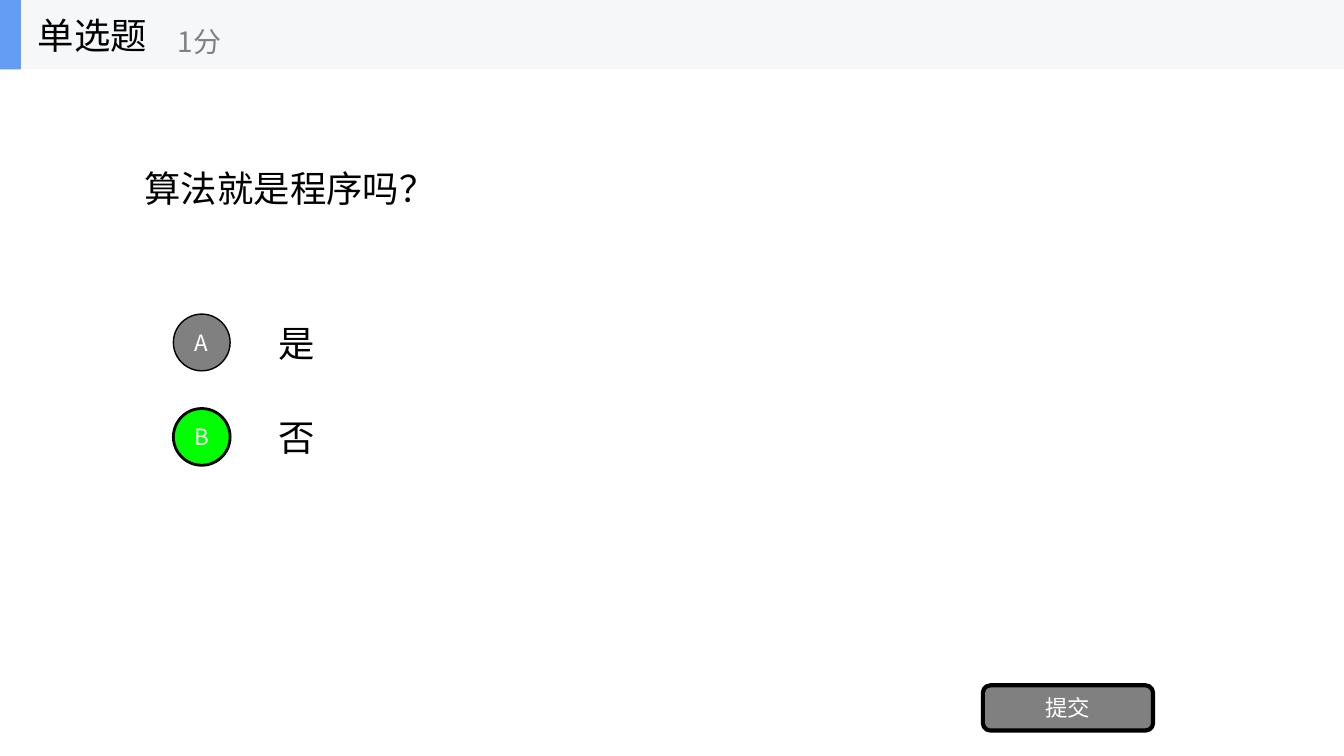
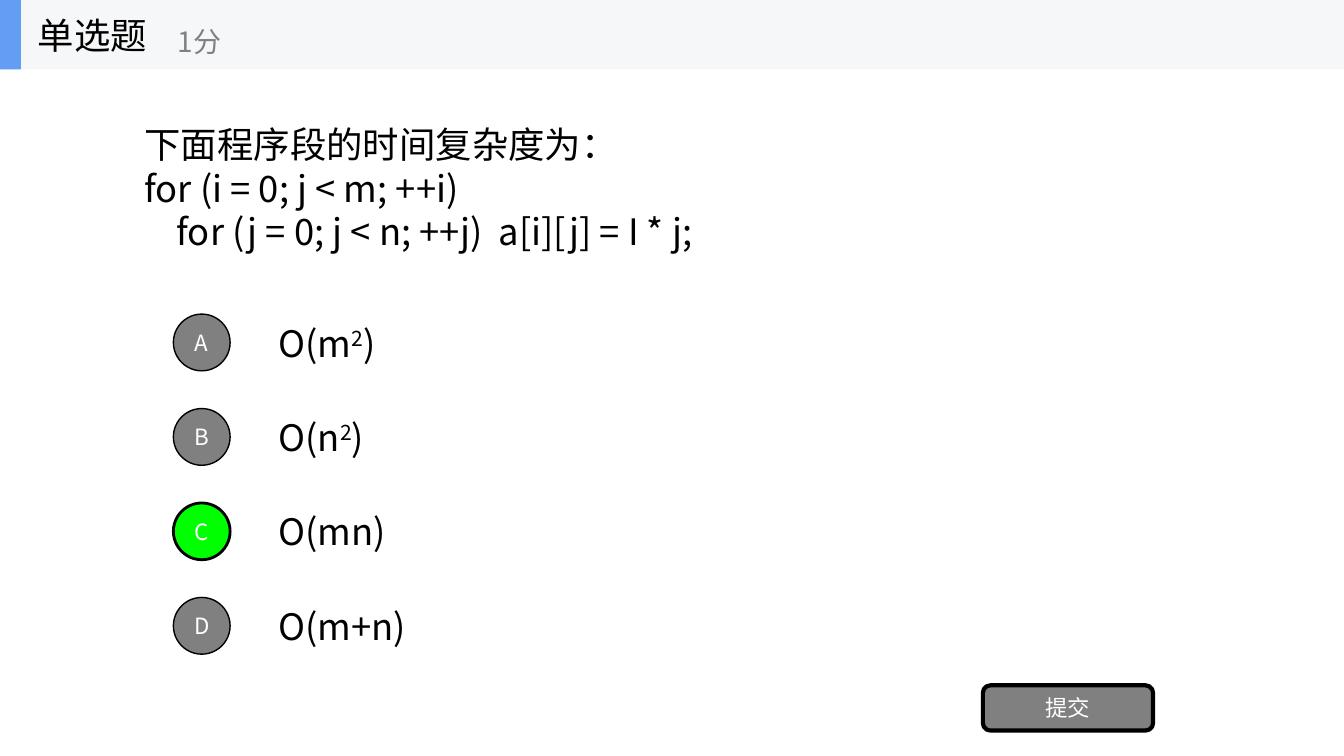
from lxml import etree
from pptx import Presentation
from pptx.dml.color import RGBColor
from pptx.enum.shapes import MSO_SHAPE
from pptx.enum.text import MSO_ANCHOR, PP_ALIGN
from pptx.oxml.ns import qn
from pptx.util import Cm, Pt

RECTANGLE, ROUNDED, OVAL = MSO_SHAPE.RECTANGLE, MSO_SHAPE.ROUNDED_RECTANGLE, MSO_SHAPE.OVAL
MIDDLE, LEFT, CENTER = MSO_ANCHOR.MIDDLE, PP_ALIGN.LEFT, PP_ALIGN.CENTER

# Content: a line is (indent in cm, spans), a span is (text, raised)
SQUARED = ("2", True)
QUESTIONS = [
    {
        "lines": [(0, [("算法就是程序吗？", False)])],
        "options": [[("是", False)], [("否", False)]],
        "answer": "B",
    },
    {
        "lines": [
            (0, [("下面程序段的时间复杂度为：", False)]),
            (0, [("for (i = 0; j < m; ++i)", False)]),
            (0.81, [("for (j = 0; j < n; ++j)  a[i][j] = I * j;", False)]),
        ],
        "options": [
            [("O(m", False), SQUARED, (")", False)],
            [("O(n", False), SQUARED, (")", False)],
            [("O(mn)", False)],
            [("O(m+n)", False)],
        ],
        "answer": "C",
    },
]
KIND, SCORE, SUBMIT = "单选题", "1分", "提交"

# Shared look
FONT = "Noto Sans CJK SC"
BLACK, WHITE, GRAY = "000000", "FFFFFF", "808080"
BAND, ACCENT, CORRECT = "F6F7F8", "639EF4", "00FF00"
BODY = {"size": Pt(26), "color": BLACK}
MUTED = {"size": Pt(20), "color": GRAY}
LABEL = {"size": Pt(16), "color": WHITE}

# Layout in cm
PAGE_WIDTH, PAGE_HEIGHT = 33.87, 19.05
BAND_HEIGHT = 1.75
OPTION_TOP, OPTION_PITCH, OPTION_HEIGHT = 7.74, 2.38, 1.78
BADGE_LEFT, BADGE_SIZE = 4.37, 1.43


def rgb(color):
    return RGBColor.from_string(color)


def plain(text):
    return [(0, [(text, False)])]


def write(box, lines, style, align):
    frame = box.text_frame
    frame.word_wrap = True
    frame.vertical_anchor = MIDDLE
    for index, (indent, spans) in enumerate(lines):
        para = frame.paragraphs[0] if index == 0 else frame.add_paragraph()
        para.alignment = align
        if indent:
            para._p.get_or_add_pPr().set("marL", str(Cm(indent)))
        for text, raised in spans:
            span = para.add_run()
            span.text = text
            for name, value in {"name": FONT, "size": style["size"]}.items():
                setattr(span.font, name, value)
            span.font.color.rgb = rgb(style["color"])
            properties = span._r.get_or_add_rPr()
            etree.SubElement(properties, qn("a:ea"), typeface=FONT)
            if raised:
                properties.set("baseline", "30000")


def add_text(page, place, lines, style):
    box = page.shapes.add_textbox(*map(Cm, place))
    write(box, lines, style, LEFT)


def add_block(page, kind, place, fill, line_width=0, text=None):
    block = page.shapes.add_shape(kind, *map(Cm, place))
    block.shadow.inherit = False
    block.fill.solid()
    block.fill.fore_color.rgb = rgb(fill)
    if line_width:
        block.line.color.rgb = rgb(BLACK)
        block.line.width = Pt(line_width)
    else:
        block.line.fill.background()
    if text:
        for side in ("left", "right", "top", "bottom"):
            setattr(block.text_frame, f"margin_{side}", 0)
        write(block, plain(text), LABEL, CENTER)


def add_frame(page):
    # Submit button and header band
    add_block(page, ROUNDED, (24.77, 17.27, 4.29, 1.14), GRAY, 3, SUBMIT)
    add_block(page, RECTANGLE, (0, 0, PAGE_WIDTH, BAND_HEIGHT), BAND)
    add_block(page, RECTANGLE, (0, 0, 0.53, BAND_HEIGHT), ACCENT)
    add_text(page, (0.7, 0, 5.29, BAND_HEIGHT), plain(KIND), BODY)
    add_text(page, (4.23, 0.32, 6.35, 1.43), plain(SCORE), MUTED)


def add_question(page, question):
    add_text(page, (3.39, BAND_HEIGHT, 27.09, 5.95), question["lines"], BODY)
    # Option rows with lettered badges
    for index, (letter, spans) in enumerate(zip("ABCD", question["options"])):
        top = OPTION_TOP + index * OPTION_PITCH
        add_text(page, (6.77, top, 23.71, OPTION_HEIGHT), [(0, spans)], BODY)
        fill, line_width = (CORRECT, 2) if letter == question["answer"] else (GRAY, 1)
        badge_top = top + (OPTION_HEIGHT - BADGE_SIZE) / 2
        place = (BADGE_LEFT, badge_top, BADGE_SIZE, BADGE_SIZE)
        add_block(page, OVAL, place, fill, line_width, letter)


def main():
    deck = Presentation()
    deck.slide_width, deck.slide_height = Cm(PAGE_WIDTH), Cm(PAGE_HEIGHT)
    for question in QUESTIONS:
        page = deck.slides.add_slide(deck.slide_layouts[6])
        add_question(page, question)
        add_frame(page)
    deck.save("out.pptx")


if __name__ == "__main__":
    main()
